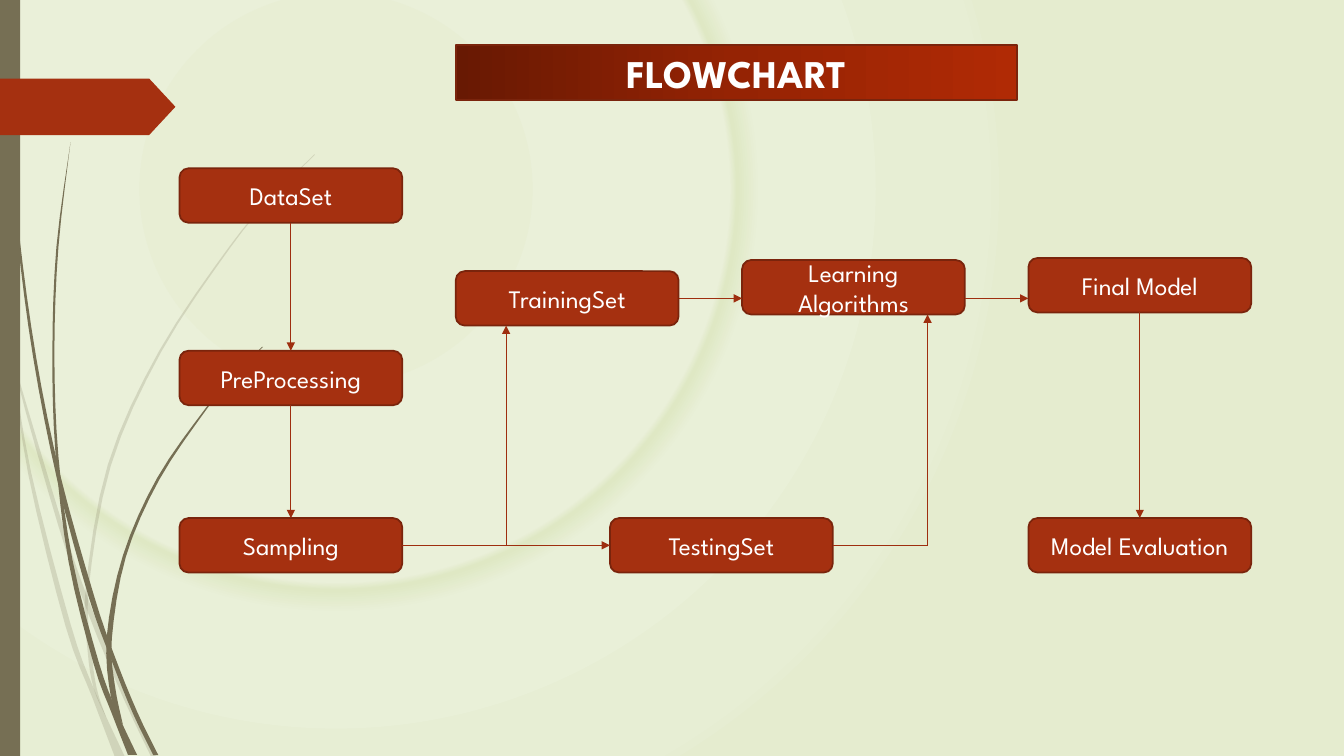
from lxml import etree
from pptx import Presentation
from pptx.dml.color import RGBColor
from pptx.enum.shapes import MSO_CONNECTOR, MSO_SHAPE
from pptx.enum.text import MSO_ANCHOR, PP_ALIGN
from pptx.oxml.ns import qn
from pptx.util import Inches, Pt

STRAIGHT = MSO_CONNECTOR.STRAIGHT
RECTANGLE, ROUNDED, PROCESS = (
    MSO_SHAPE.RECTANGLE, MSO_SHAPE.ROUNDED_RECTANGLE, MSO_SHAPE.FLOWCHART_PROCESS)
CENTER, MIDDLE = PP_ALIGN.CENTER, MSO_ANCHOR.MIDDLE

FONT = "League Spartan"
WHITE, RUST, EDGE, ARROW, OLIVE = "FFFFFF", "A53010", "7A240C", "9E2E0F", "766F54"
BACKGROUND_STOPS = [(0, "E8EED4"), (51, "EAF0D9"), (52, "DFE8C4"), (55, "E9F0D8"),
                    (85, "E7EED4"), (86, "E6EDD2"), (100, "E5ECCF")]
TITLE_STOPS = [(0, "681903"), (50, "952304"), (100, "B02A05")]

BOX_WIDTH, BOX_HEIGHT = 2.21, 0.54
LEFT_COLUMN, RIGHT_COLUMN, BOTTOM_ROW = 1.78, 10.2, 5.14
STEPS = {
    "DataSet": (LEFT_COLUMN, 1.67),
    "Sampling": (LEFT_COLUMN, BOTTOM_ROW),
    "PreProcessing": (LEFT_COLUMN, 3.48),
    "Learning Algorithms": (7.36, 2.58),
    "TrainingSet": (4.52, 2.69),
    "Final Model": (RIGHT_COLUMN, 2.56),
    "TestingSet": (6.05, BOTTOM_ROW),
    "Model Evaluation": (RIGHT_COLUMN, BOTTOM_ROW),
}
TOP_SITE, LEFT_SITE, BOTTOM_SITE, RIGHT_SITE = range(4)
JOINS = [
    ("DataSet", BOTTOM_SITE, "PreProcessing", TOP_SITE),
    ("PreProcessing", BOTTOM_SITE, "Sampling", TOP_SITE),
    ("Sampling", RIGHT_SITE, "TestingSet", LEFT_SITE),
    ("Final Model", BOTTOM_SITE, "Model Evaluation", TOP_SITE),
]

# Each blade lists the points of its left edge and of its right edge, from tip to root.
PALE_GRASS = [
    ([(0, 2.99), (0.09, 3.22), (0.17, 3.76), (0.58, 5.22), (0.88, 6.1), (1.23, 6.94), (1.5, 7.51)],
     [(0, 2.82), (0.1, 3.44), (0.17, 3.7), (0.62, 5.2), (0.88, 5.96), (1.27, 6.92), (1.55, 7.51)]),
    ([(0.11, 3.5), (0.28, 4.7), (0.65, 6.21), (0.92, 6.93), (1.14, 7.51)],
     [(0.11, 3.5), (0.31, 4.69), (0.7, 6.19), (0.93, 6.83), (1.24, 7.51)]),
    ([(3.12, 1.53), (2.68, 1.97), (2.28, 2.44), (1.58, 3.48), (1.07, 4.61), (0.85, 5.84),
      (0.87, 6.46), (0.93, 6.83), (1.05, 7.11)],
     [(3.12, 1.54), (2.68, 1.98), (2.29, 2.45), (1.6, 3.49), (1.1, 4.62), (0.88, 5.84),
      (0.91, 6.46), (0.96, 6.83), (1.05, 7.11)]),
]
DARK_GRASS = [
    ([(0.03, 0), (0.07, 1.1), (0.17, 2.33), (0.33, 3.55), (0.57, 4.77), (0.88, 5.92),
      (1.11, 6.56), (1.32, 7.08), (1.52, 7.49)],
     [(0.04, 0), (0.08, 1.09), (0.19, 2.32), (0.36, 3.55), (0.6, 4.72), (0.93, 5.9),
      (1.13, 6.49), (1.36, 7.06), (1.57, 7.49)]),
    ([(0.7, 1.41), (0.56, 2.45), (0.52, 3.49), (0.55, 4.49), (0.68, 5.57), (0.93, 6.59),
      (1.11, 7.08), (1.27, 7.49)],
     [(0.7, 1.41), (0.58, 2.45), (0.54, 3.49), (0.58, 4.53), (0.72, 5.56), (0.98, 6.57),
      (1.16, 7.06), (1.36, 7.49)]),
    ([(2.6, 3.44), (2.31, 3.73), (2.04, 4.05), (1.56, 4.74), (1.22, 5.51), (1.06, 6.31),
      (1.1, 6.91), (1.22, 7.19)],
     [(2.61, 3.44), (2.31, 3.74), (2.05, 4.06), (1.58, 4.76), (1.25, 5.52), (1.11, 6.33),
      (1.14, 6.8), (1.22, 7.19)]),
]
TAG = [(0, 0.78), (1.48, 0.78), (1.74, 1.06), (1.48, 1.34), (0, 1.34)]


def color(value):
    return RGBColor.from_string(value)


def paint(shape, fill, line=None):
    shape.shadow.inherit = False
    shape.fill.solid()
    shape.fill.fore_color.rgb = color(fill)
    if line:
        shape.line.color.rgb = color(line)
        shape.line.width = Pt(1.25)
    else:
        shape.line.fill.background()


def set_gradient(fill, owner, stops):
    """Give the fill any number of stops and return its gradient element."""
    fill.gradient()
    gradient = owner.find(".//" + qn("a:gradFill"))
    stop_list = gradient.find(qn("a:gsLst"))
    for stop in list(stop_list):
        stop_list.remove(stop)
    for position, value in stops:
        stop = etree.SubElement(stop_list, qn("a:gs"), pos=str(position * 1000))
        etree.SubElement(stop, qn("a:srgbClr"), val=value)
    return gradient


def add_background(page):
    gradient = set_gradient(page.background.fill, page._element, BACKGROUND_STOPS)
    circle = etree.Element(qn("a:path"), {"path": "circle"})
    etree.SubElement(circle, qn("a:fillToRect"), l="50000", t="50000", r="100000", b="100000")
    gradient.replace(gradient.find(qn("a:lin")), circle)


def add_outline(shapes, left, top, points):
    vertices = [(Inches(left + x), Inches(top + y)) for x, y in points]
    builder = shapes.build_freeform(*vertices[0], scale=1.0)
    builder.add_line_segments(vertices[1:], close=True)
    return builder.convert_to_shape()


def smooth_edge(knots, pieces=4):
    """Return points on a Catmull-Rom curve through the knots."""
    padded = [knots[0], *knots, knots[-1]]
    points = [knots[0]]
    for first in range(len(knots) - 1):
        for piece in range(1, pieces + 1):
            t = piece / pieces
            points.append(tuple(
                b + t * (c - a) / 2 + t ** 2 * (2 * a - 5 * b + 4 * c - d) / 2
                + t ** 3 * (3 * b - a - 3 * c + d) / 2
                for a, b, c, d in zip(*padded[first:first + 4])))
    return points


def add_grass(page, left, top, blades, opacity=100):
    group = page.shapes.add_group_shape()
    for left_edge, right_edge in blades:
        points = smooth_edge(left_edge) + smooth_edge(right_edge)[::-1]
        blade = add_outline(group.shapes, left, top, points)
        paint(blade, OLIVE)
        if opacity < 100:
            tint = blade._element.spPr.find(".//" + qn("a:srgbClr"))
            etree.SubElement(tint, qn("a:alpha"), val=str(opacity * 1000))


def add_side_band(page, left, top, height):
    add_grass(page, left, top, PALE_GRASS, opacity=20)
    add_grass(page, left, top, DARK_GRASS)
    bar = page.shapes.add_shape(RECTANGLE, Inches(left), Inches(top), Inches(0.2), Inches(height))
    paint(bar, OLIVE)
    paint(add_outline(page.shapes, left, top, TAG), RUST)


def add_label(page, kind, text, left, top, width, height, size=18, bold=False):
    box = page.shapes.add_shape(kind, Inches(left), Inches(top), Inches(width), Inches(height))
    paint(box, RUST, EDGE)
    frame = box.text_frame
    frame.word_wrap = True
    frame.vertical_anchor = MIDDLE
    para = frame.paragraphs[0]
    para.alignment = CENTER
    span = para.add_run()
    span.text = text
    for name, value in {"name": FONT, "size": Pt(size), "bold": bold}.items():
        setattr(span.font, name, value)
    span.font.color.rgb = color(WHITE)
    return box


def add_line(page, start_x, start_y, end_x, end_y, arrow=True):
    line = page.shapes.add_connector(
        STRAIGHT, Inches(start_x), Inches(start_y), Inches(end_x), Inches(end_y))
    line.line.color.rgb = color(ARROW)
    line.line.width = Pt(0.75)
    if arrow:
        outline = line._element.spPr.find(qn("a:ln"))
        etree.SubElement(outline, qn("a:tailEnd"), type="triangle")
    etree.SubElement(line._element.spPr, qn("a:effectLst"))
    return line


def add_flowchart(page, left, top):
    boxes = {text: add_label(page, ROUNDED, text, left + x, top + y, BOX_WIDTH, BOX_HEIGHT)
             for text, (x, y) in STEPS.items()}
    for source, source_site, target, target_site in JOINS:
        line = add_line(page, left, top, left + 1, top + 1)
        line.begin_connect(boxes[source], source_site)
        line.end_connect(boxes[target], target_site)

    training_x, training_y = STEPS["TrainingSet"]
    learning_x, learning_y = STEPS["Learning Algorithms"]
    testing_right = STEPS["TestingSet"][0] + BOX_WIDTH
    bottom_middle = BOTTOM_ROW + BOX_HEIGHT / 2
    training_middle = training_y + BOX_HEIGHT / 2
    branch_x, riser_x = 5.02, 9.2
    for start_x, start_y, end_x, end_y, arrow in [
        (branch_x, bottom_middle, branch_x, training_y + BOX_HEIGHT, True),
        (riser_x, bottom_middle, riser_x, learning_y + BOX_HEIGHT, True),
        (testing_right, bottom_middle, riser_x, bottom_middle, False),
        (training_x + BOX_WIDTH, training_middle, learning_x, training_middle, True),
        (learning_x + BOX_WIDTH, training_middle, RIGHT_COLUMN, training_middle, True),
    ]:
        add_line(page, left + start_x, top + start_y, left + end_x, top + end_y, arrow)


def add_title(page, left, top, width, height):
    title = add_label(page, PROCESS, "FLOWCHART", left, top, width, height, size=28, bold=True)
    set_gradient(title.fill, title._element.spPr, TITLE_STOPS)
    title.fill.gradient_angle = 0


def main():
    deck = Presentation()
    deck.slide_width, deck.slide_height = Inches(13.33), Inches(7.5)
    page = deck.slides.add_slide(deck.slide_layouts[6])
    add_background(page)
    add_side_band(page, 0, 0, 7.5)
    add_flowchart(page, 0, 0)
    add_title(page, 4.52, 0.45, 5.57, 0.54)
    deck.save("out.pptx")


if __name__ == "__main__":
    main()
